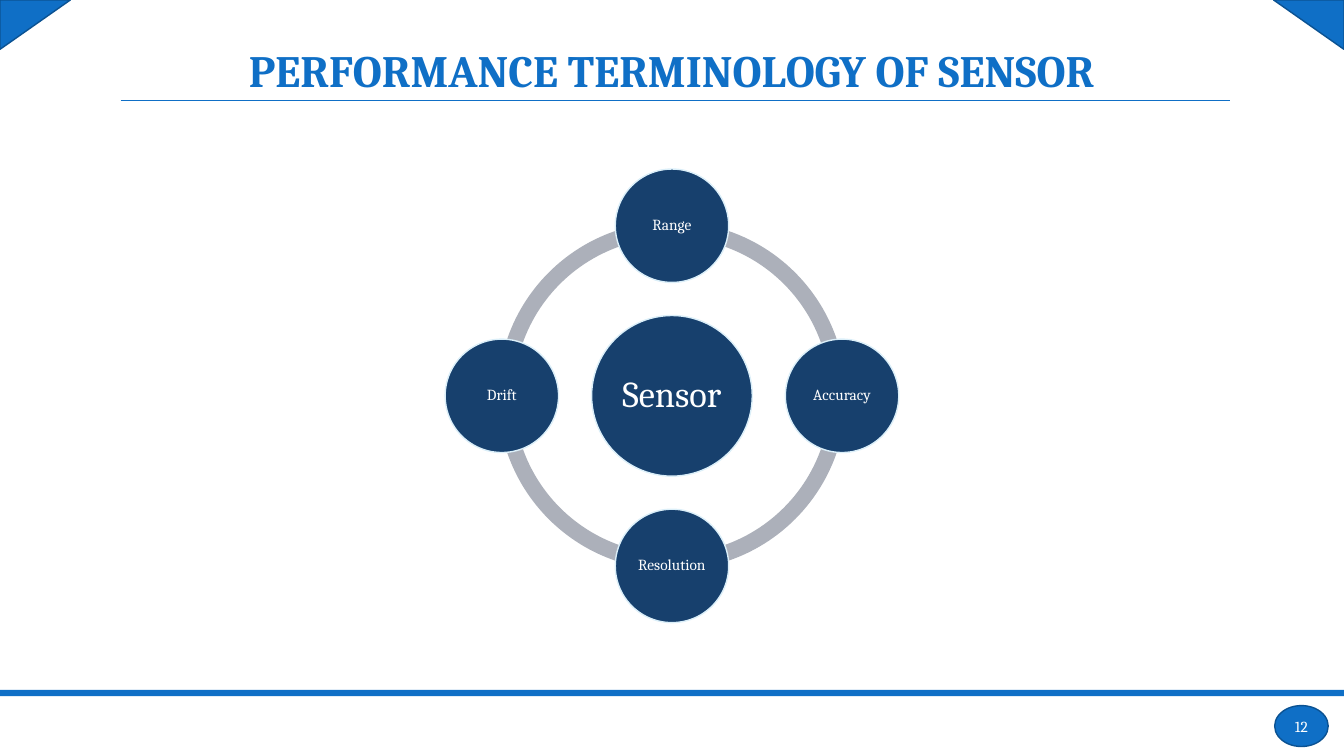
from dataclasses import dataclass

from lxml import etree
from pptx import Presentation
from pptx.dml.color import RGBColor
from pptx.enum.shapes import MSO_CONNECTOR, MSO_SHAPE
from pptx.enum.text import MSO_ANCHOR, PP_ALIGN
from pptx.oxml.ns import qn
from pptx.shapes.autoshape import Shape
from pptx.slide import Slide
from pptx.util import Emu, Pt

RECTANGLE, ELLIPSE = MSO_SHAPE.RECTANGLE, MSO_SHAPE.OVAL
TRIANGLE, ARC = MSO_SHAPE.RIGHT_TRIANGLE, MSO_SHAPE.BLOCK_ARC
STRAIGHT = MSO_CONNECTOR.STRAIGHT
MIDDLE, BOTTOM = MSO_ANCHOR.MIDDLE, MSO_ANCHOR.BOTTOM
CENTER = PP_ALIGN.CENTER

EMU_PER_PX = 9525
WIDTH, HEIGHT = 1280, 720
FONT = "Cambria"
COLORS = {
    "accent": "0F6FC6",
    "accent_edge": "0B5292",
    "circle": "17406D",
    "circle_edge": "DBEFF9",
    "ring": "ACB0BA",
    "white": "FFFFFF",
}

CENTER_X, CENTER_Y = 640, 377
RING_SIZE = 332
RING_THICKNESS = 0.046
ORBIT = 162
QUARTER_TURN = 54  # block arc angles: 0.6 units per degree
CORNER_WIDTH, CORNER_HEIGHT = 67, 47


@dataclass
class Circle:
    label: str
    dx: int
    dy: int
    diameter: int = 108
    font_size: int = 11
    inset: int = 2


CIRCLES = [
    Circle("Sensor", 0, 0, 153, 26, 4),
    Circle("Range", 0, -ORBIT),
    Circle("Accuracy", ORBIT, 0),
    Circle("Resolution", 0, ORBIT),
    Circle("Drift", -ORBIT, 0),
]


def px(length: float) -> Emu:
    return Emu(round(length * EMU_PER_PX))


def color(name: str) -> RGBColor:
    return RGBColor.from_string(COLORS[name])


def add_filled(page: Slide, kind: MSO_SHAPE, left: float, top: float, width: int,
               height: int, fill: str, edge: str | None = None) -> Shape:
    shape = page.shapes.add_shape(kind, px(left), px(top), px(width), px(height))
    shape.shadow.inherit = False
    shape.fill.solid()
    shape.fill.fore_color.rgb = color(fill)
    if edge:
        shape.line.color.rgb = color(edge)
        shape.line.width = Pt(1)
    else:
        shape.line.fill.background()
    return shape


def write(shape: Shape, text: str, size: int, ink: str, anchor: MSO_ANCHOR = MIDDLE,
          bold: bool = False, spacing: float = 0.9) -> None:
    frame = shape.text_frame
    frame.text = text
    frame.word_wrap = True
    frame.vertical_anchor = anchor
    para = frame.paragraphs[0]
    para.alignment = CENTER
    para.line_spacing = spacing
    font = para.runs[0].font
    font.name, font.size, font.bold = FONT, Pt(size), bold
    font.color.rgb = color(ink)


def add_title(page: Slide) -> None:
    box = page.shapes.add_textbox(px(136), px(40), px(1008), px(57))
    write(box, "PERFORMANCE TERMINOLOGY OF SENSOR", 32, "accent", BOTTOM, bold=True)
    rule = page.shapes.add_connector(STRAIGHT, px(115), px(96), px(1171), px(96))
    rule.line.color.rgb = color("accent")
    rule.line.width = Pt(0.5)
    etree.SubElement(rule._element.spPr, qn("a:effectLst"))


def add_corners(page: Slide) -> None:
    shift = (CORNER_WIDTH - CORNER_HEIGHT) / 2
    left_corner = add_filled(page, TRIANGLE, shift, -shift, CORNER_HEIGHT,
                             CORNER_WIDTH, "accent", "accent_edge")
    left_corner.rotation = 90
    right_corner = add_filled(page, TRIANGLE, WIDTH - CORNER_WIDTH, 0, CORNER_WIDTH,
                              CORNER_HEIGHT, "accent", "accent_edge")
    right_corner.rotation = 180


def add_footer(page: Slide) -> None:
    add_filled(page, RECTANGLE, 0, 657, WIDTH, 6, "accent")
    badge = add_filled(page, ELLIPSE, 1214, 672, 51, 39, "accent", "accent_edge")
    badge.text_frame.margin_left = badge.text_frame.margin_right = 0
    write(badge, "12", 11, "white", spacing=1.0)


def add_ring(page: Slide) -> None:
    """Draw the ring as four quarter arcs."""
    for quarter in range(4):
        arc = add_filled(page, ARC, CENTER_X - RING_SIZE / 2, CENTER_Y - RING_SIZE / 2,
                         RING_SIZE, RING_SIZE, "ring")
        arc.adjustments[0] = quarter * QUARTER_TURN
        arc.adjustments[1] = (quarter + 1) % 4 * QUARTER_TURN
        arc.adjustments[2] = RING_THICKNESS


def add_circle(page: Slide, circle: Circle) -> None:
    radius = circle.diameter / 2
    shape = add_filled(page, ELLIPSE, CENTER_X + circle.dx - radius,
                       CENTER_Y + circle.dy - radius, circle.diameter,
                       circle.diameter, "circle", "circle_edge")
    frame = shape.text_frame
    frame.margin_left = frame.margin_right = px(circle.inset)
    frame.margin_top = frame.margin_bottom = px(circle.inset)
    write(shape, circle.label, circle.font_size, "white")


def main() -> None:
    deck = Presentation()
    deck.slide_width, deck.slide_height = px(WIDTH), px(HEIGHT)
    page = deck.slides.add_slide(deck.slide_layouts[6])
    add_footer(page)
    add_title(page)
    add_corners(page)
    add_ring(page)
    for circle in CIRCLES:
        add_circle(page, circle)
    deck.save("out.pptx")


if __name__ == "__main__":
    main()
